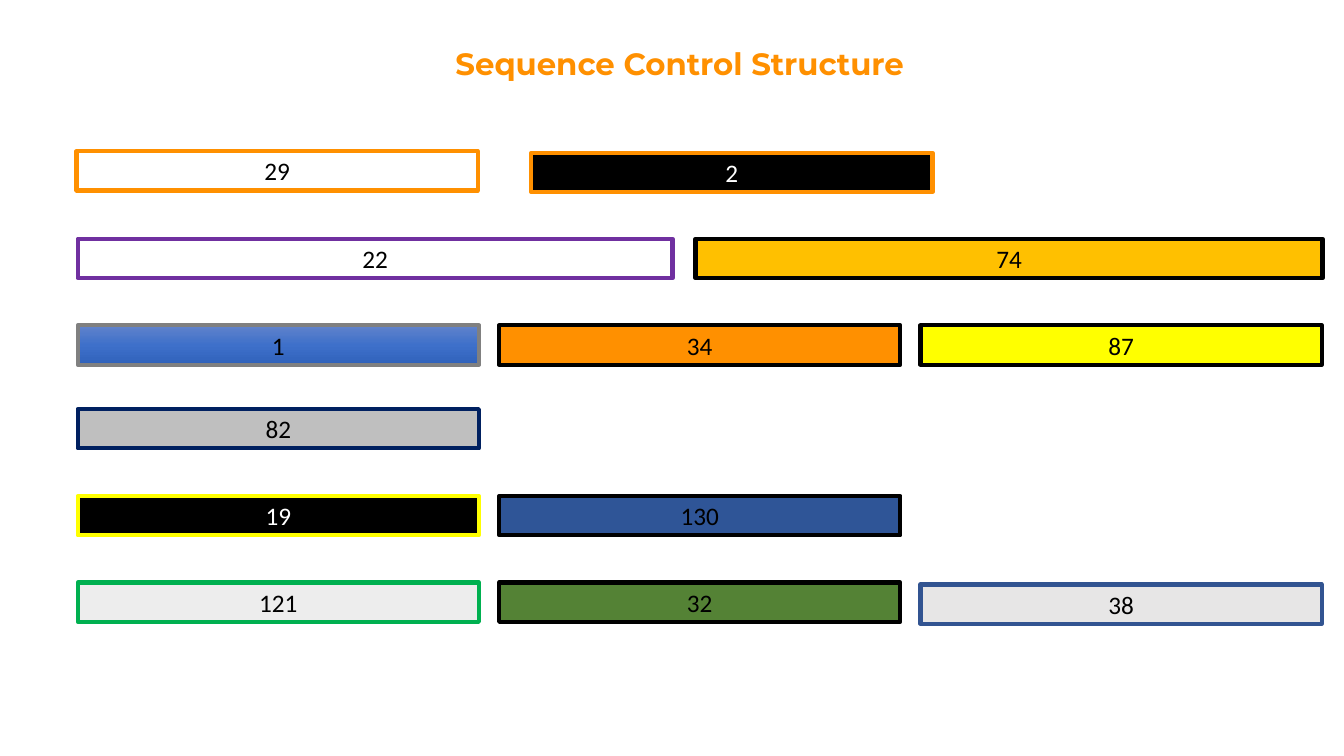
from copy import deepcopy
from dataclasses import dataclass

from pptx import Presentation
from pptx.dml.color import RGBColor
from pptx.enum.shapes import MSO_SHAPE
from pptx.enum.text import MSO_ANCHOR, MSO_AUTO_SIZE, PP_ALIGN
from pptx.oxml.ns import qn
from pptx.util import Cm, Pt


@dataclass(frozen=True)
class Theme:
    title_font: str = "Montserrat"
    body_font: str = "Calibri"
    title_size: int = 22
    body_size: int = 18
    border: int = 3
    black: str = "000000"
    white: str = "FFFFFF"
    orange: str = "FF9000"
    purple: str = "7030A0"
    amber: str = "FFC000"
    yellow: str = "FFFF00"
    gray: str = "808080"
    silver: str = "BFBFBF"
    navy: str = "002060"
    blue: str = "2F5597"
    steel: str = "325491"
    green: str = "00B050"
    forest: str = "548235"
    pale: str = "EDEDED"
    mist: str = "E7E6E6"
    blue_fade: tuple = ((0, "6183CB"), (0.5, "3E70CA"), (1, "3062BB"))


def write(frame, text, *, font, size, color, bold=False, align=PP_ALIGN.LEFT):
    para = frame.paragraphs[0]
    para.alignment = align
    span = para.add_run()
    span.text = text
    span.font.name = font
    span.font.size = Pt(size)
    span.font.bold = bold
    span.font.color.rgb = RGBColor.from_string(color)


class SlideBuilder:
    def __init__(self, page, theme):
        self.page = page
        self.theme = theme

    def title(self, text, left, top, width, height):
        box = self.page.shapes.add_textbox(Cm(left), Cm(top), Cm(width), Cm(height))
        frame = box.text_frame
        frame.word_wrap = False
        frame.auto_size = MSO_AUTO_SIZE.SHAPE_TO_FIT_TEXT
        write(frame, text, font=self.theme.title_font, size=self.theme.title_size,
              color=self.theme.orange, bold=True)

    def bar(self, text, left, top, width, height, fill, line, color):
        bar = self.page.shapes.add_shape(
            MSO_SHAPE.RECTANGLE, Cm(left), Cm(top), Cm(width), Cm(height))
        bar.shadow.inherit = False
        if isinstance(fill, tuple):
            self.fade(bar, fill)
        else:
            bar.fill.solid()
            bar.fill.fore_color.rgb = RGBColor.from_string(fill)
        bar.line.color.rgb = RGBColor.from_string(line)
        bar.line.width = Pt(self.theme.border)
        bar.text_frame.vertical_anchor = MSO_ANCHOR.MIDDLE
        write(bar.text_frame, text, font=self.theme.body_font,
              size=self.theme.body_size, color=color, align=PP_ALIGN.CENTER)

    def fade(self, bar, stops):
        """Fill from top to bottom; the default gradient has only two stops."""
        bar.fill.gradient()
        bar.fill.gradient_angle = 270
        stop_list = bar._element.spPr.find(".//" + qn("a:gsLst"))
        for _ in stops[2:]:
            stop_list.insert(1, deepcopy(stop_list[0]))
        for stop, (position, color) in zip(bar.fill.gradient_stops, stops):
            stop.position = position
            stop.color.rgb = RGBColor.from_string(color)


theme = Theme()
deck = Presentation()
deck.slide_width, deck.slide_height = Cm(33.87), Cm(19.05)
page = deck.slides.add_slide(deck.slide_layouts[6])
builder = SlideBuilder(page, theme)

# Grid of the number bars
BAR_WIDTH, BAR_HEIGHT = 10.11, 0.99
FIRST, SECOND, THIRD = (1.96 + 10.62 * column for column in range(3))
ROWS = (3.81, 6.02, 8.2, 10.31, 12.5, 14.68)

# Bars: number, left, row, width, fill, border, text colour
BARS = (
    ("29", 1.93, 0, BAR_WIDTH, theme.white, theme.orange, theme.black),
    ("2", 13.39, 0, BAR_WIDTH, theme.black, theme.orange, theme.white),
    ("22", FIRST, 1, 14.99, theme.white, theme.purple, theme.black),
    ("74", 17.53, 1, 15.8, theme.amber, theme.black, theme.black),
    ("1", FIRST, 2, BAR_WIDTH, theme.blue_fade, theme.gray, theme.black),
    ("34", SECOND, 2, BAR_WIDTH, theme.orange, theme.black, theme.black),
    ("87", THIRD, 2, BAR_WIDTH, theme.yellow, theme.black, theme.black),
    ("82", FIRST, 3, BAR_WIDTH, theme.silver, theme.navy, theme.black),
    ("19", FIRST, 4, BAR_WIDTH, theme.black, theme.yellow, theme.white),
    ("130", SECOND, 4, BAR_WIDTH, theme.blue, theme.black, theme.black),
    ("121", FIRST, 5, BAR_WIDTH, theme.pale, theme.green, theme.black),
    ("32", SECOND, 5, BAR_WIDTH, theme.forest, theme.black, theme.black),
    ("38", THIRD, 5, BAR_WIDTH, theme.mist, theme.steel, theme.black),
)
# Two bars sit slightly below their row
DROPS = {"2": 0.04, "38": 0.05}

for number, left, row, width, fill, border, color in BARS:
    top = ROWS[row] + DROPS.get(number, 0)
    builder.bar(number, left, top, width, BAR_HEIGHT, fill, border, color)

# Title
builder.title("Sequence Control Structure", 11.23, 0.99, 11.99, 1.19)

deck.save("out.pptx")
